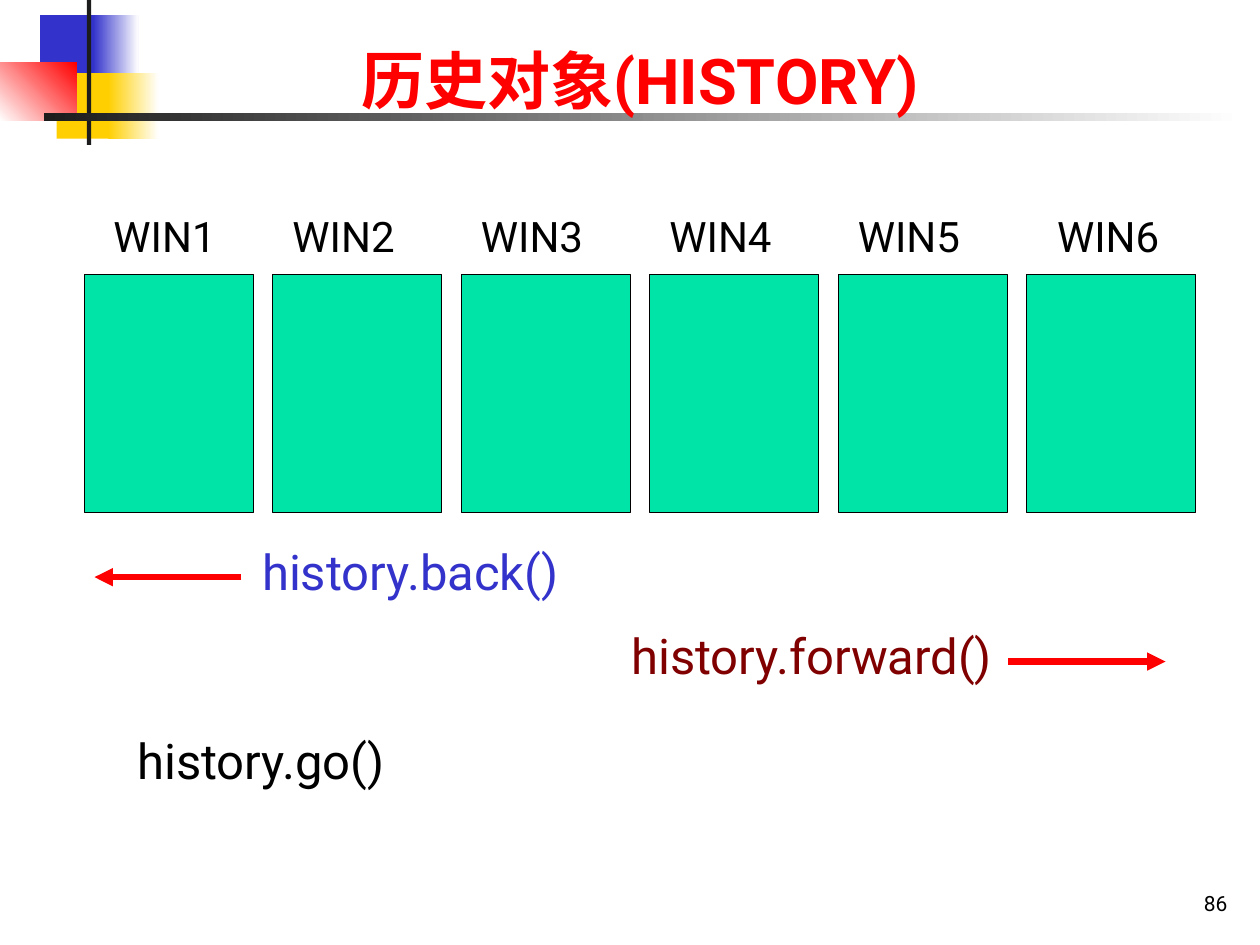
from dataclasses import dataclass

from lxml.etree import SubElement
from pptx import Presentation
from pptx.dml.color import RGBColor as Rgb
from pptx.enum.shapes import MSO_CONNECTOR as Link, MSO_SHAPE as Form
from pptx.enum.text import MSO_ANCHOR as Anchor, PP_ALIGN as Align
from pptx.oxml.ns import qn
from pptx.slide import Slide
from pptx.util import Pt

FONT = "Roboto"
BLACK = Rgb(0x00, 0x00, 0x00)
WHITE = Rgb(0xFF, 0xFF, 0xFF)
RED = Rgb(0xFF, 0x00, 0x00)
BLUE = Rgb(0x33, 0x33, 0xCC)
GOLD = Rgb(0xFF, 0xCF, 0x01)
DARK = Rgb(0x1C, 0x1C, 0x1C)
MAROON = Rgb(0x80, 0x00, 0x00)
GREEN = Rgb(0x00, 0xE4, 0xA8)


@dataclass(frozen=True)
class Block:
    x: float
    y: float
    w: float
    h: float
    fill: Rgb
    fade: Rgb | None = None
    angle: float = 0
    line: Rgb | None = None


@dataclass(frozen=True)
class Label:
    text: str
    x: float
    y: float
    w: float
    h: float
    size: float
    color: Rgb = BLACK
    bold: bool = False
    align: Align = Align.LEFT
    anchor: Anchor = Anchor.TOP
    inset: float = 0


@dataclass(frozen=True)
class Arrow:
    start: float
    end: float
    y: float


def draw_block(slide: Slide, block: Block) -> None:
    shape = slide.shapes.add_shape(
        Form.RECTANGLE, Pt(block.x), Pt(block.y), Pt(block.w), Pt(block.h))
    shape.shadow.inherit = False
    if block.fade is None:
        shape.fill.solid()
        shape.fill.fore_color.rgb = block.fill
    else:
        shape.fill.gradient()
        shape.fill.gradient_angle = block.angle
        for stop, color in zip(shape.fill.gradient_stops, (block.fill, block.fade)):
            stop.color.rgb = color
    if block.line is None:
        shape.line.fill.background()
    else:
        shape.line.color.rgb = block.line
        shape.line.width = Pt(0.75)


def draw_label(slide: Slide, label: Label) -> None:
    box = slide.shapes.add_textbox(
        Pt(label.x), Pt(label.y), Pt(label.w), Pt(label.h))
    frame = box.text_frame
    frame.word_wrap = True
    frame.vertical_anchor = label.anchor
    frame.margin_left = frame.margin_right = Pt(label.inset)
    frame.margin_top = frame.margin_bottom = Pt(3.6)
    para = frame.paragraphs[0]
    para.alignment = label.align
    run = para.add_run()
    run.text = label.text
    font = run.font
    font.name = FONT
    font.size = Pt(label.size)
    font.bold = label.bold
    font.color.rgb = label.color
    SubElement(run._r.get_or_add_rPr(), qn("a:ea"), typeface=FONT)


def draw_arrow(slide: Slide, arrow: Arrow) -> None:
    link = slide.shapes.add_connector(
        Link.STRAIGHT, Pt(arrow.start), Pt(arrow.y), Pt(arrow.end), Pt(arrow.y))
    link.line.color.rgb = RED
    link.line.width = Pt(3.5)
    SubElement(link.line._get_or_add_ln(), qn("a:tailEnd"), type="triangle")
    SubElement(link._element.spPr, qn("a:effectLst"))


DECOR = (
    Block(23, 8.6, 34.6, 37.4, BLUE),
    Block(53.3, 8.6, 25.9, 37.4, BLUE, WHITE),
    Block(32.4, 41.8, 33.1, 37.4, GOLD),
    Block(61.9, 41.8, 28.8, 37.4, GOLD, WHITE),
    Block(0, 36, 44, 33.1, WHITE, RED, 45),
    Block(49.7, 0, 2.5, 82.8, DARK),
    Block(25.2, 64.8, 684.7, 4.5, DARK, WHITE),
)
TEXTS = (
    Label("86", 558.7, 491, 149.8, 36, 12,
          align=Align.RIGHT, anchor=Anchor.BOTTOM, inset=7.2),
    Label("历史对象(HISTORY)", 87.8, 20.2, 555.8, 50.4, 36, RED, True,
          Align.CENTER, inset=7.2),
    Label("history.back()", 149.8, 306, 180, 41, 28, BLUE),
    Label("history.forward()", 360.7, 354.2, 215.3, 74.9, 28, MAROON),
    Label("history.go()", 78.5, 414, 155.5, 41, 28),
)
ARROWS = (Arrow(138, 54, 329.8), Arrow(576, 666, 378))
LEFT, STEP = 48.2, 107.7
SHIFTS = (16.6, 11.2, 11.2, 11.2, 11.2, 17.3)


def main() -> None:
    deck = Presentation()
    deck.slide_width, deck.slide_height = Pt(720), Pt(540)
    slide = deck.slides.add_slide(deck.slide_layouts[6])
    for block in DECOR:
        draw_block(slide, block)
    for index, shift in enumerate(SHIFTS):
        x = LEFT + index * STEP
        draw_block(slide, Block(x, 156.8, 96.6, 136, GREEN, line=BLACK))
        draw_label(slide, Label(f"WIN{index + 1}", x + shift, 116.6, 68.4, 36, 24))
    for label in TEXTS:
        draw_label(slide, label)
    for arrow in ARROWS:
        draw_arrow(slide, arrow)
    deck.save("out.pptx")


if __name__ == "__main__":
    main()
